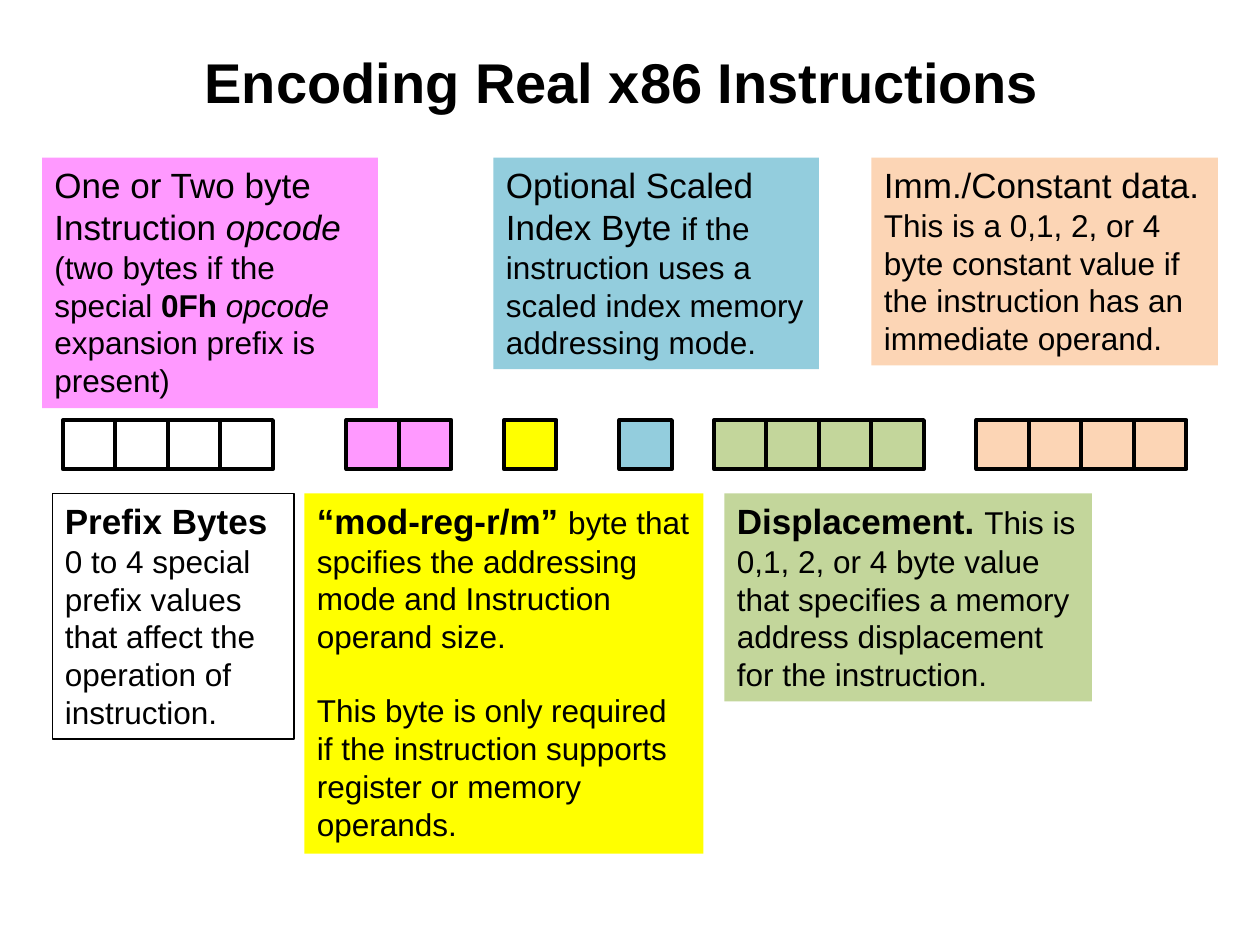
from pptx import Presentation
from pptx.dml.color import RGBColor
from pptx.enum.shapes import MSO_SHAPE
from pptx.enum.text import MSO_ANCHOR, MSO_AUTO_SIZE, PP_ALIGN
from pptx.util import Inches, Pt

COLORS = {"black": "000000", "pink": "FF99FF", "yellow": "FFFF00",
          "blue": "93CDDD", "green": "C3D69B", "peach": "FCD5B5"}
FONT = "Arial"
HEAD, BODY = 20, 18

TITLE = "Encoding Real x86 Instructions "

# Byte fields of an instruction: start column, number of bytes, fill
FIELDS = [(6, 4, None), (33, 2, "pink"), (48, 1, "yellow"),
          (59, 1, "blue"), (68, 4, "green"), (93, 4, "peach")]

# Notes: column, row, columns wide, height in inches, fill,
# paragraphs made of (text, size, style) runs
NOTES = [
    (5, 47, 23, 1.95, None, [
        [("Prefix Bytes", HEAD, "bold")],
        [("0 to 4 special prefix values that affect the operation of "
          "instruction.", BODY, "")]]),
    (4, 15, 32, 1.99, "pink", [
        [("One or Two byte Instruction ", HEAD, ""),
         ("opcode ", HEAD, "italic"),
         ("(two bytes if the special ", BODY, ""),
         ("0Fh ", BODY, "bold"),
         ("opcode", BODY, "italic"),
         (" expansion prefix is present)", BODY, "")]]),
    (29, 47, 38, 2.86, "yellow", [
        [("“mod-reg-r/m” ", HEAD, "bold"),
         ("byte that spcifies the addressing mode and Instruction operand "
          "size.", BODY, "")],
        [("This byte is only required if the instruction supports register "
          "or memory operands.", BODY, "")]]),
    (47, 15, 31, 1.68, "blue", [
        [("Optional Scaled Index Byte ", HEAD, ""),
         ("if the instruction uses a scaled index memory addressing mode.",
          BODY, "")]]),
    (69, 47, 35, 1.65, "green", [
        [("Displacement. ", HEAD, "bold"),
         ("This is 0,1, 2, or 4 byte value that specifies a memory address "
          "displacement for the instruction.", BODY, "")]]),
    (83, 15, 33, 1.65, "peach", [
        [("Imm./Constant data.", HEAD, "")],
        [("This is a 0,1, 2, or 4 byte constant value if the instruction has "
          "an immediate operand.", BODY, "")]]),
]
SECTION_GAP = {"yellow": 20.7}  # one body line between the paragraphs

# Grid of twelve columns and rows to the inch
BYTE_ROW, BYTE_COLUMNS, BYTE_HEIGHT = 40, 5, 0.39


def grid(count):
    return Inches(count / 12)


def color(name):
    return RGBColor.from_string(COLORS[name])


def add_rectangle(shapes, left, top, width, height, fill, line_width):
    shape = shapes.add_shape(MSO_SHAPE.RECTANGLE, left, top, width, height)
    shape.shadow.inherit = False
    if fill:
        shape.fill.solid()
        shape.fill.fore_color.rgb = color(fill)
    else:
        shape.fill.background()
    if line_width:
        shape.line.color.rgb = color("black")
        shape.line.width = Pt(line_width)
    else:
        shape.line.fill.background()
    return shape


def format_run(run, size, style):
    run.font.name = FONT
    run.font.size = Pt(size)
    run.font.bold = style == "bold"
    run.font.italic = style == "italic"
    run.font.color.rgb = color("black")


def add_title(slide):
    box = slide.shapes.add_textbox(Inches(0.5), Inches(0.17), Inches(9), Inches(0.95))
    frame = box.text_frame
    frame.word_wrap = True
    frame.vertical_anchor = MSO_ANCHOR.MIDDLE
    frame.text = TITLE
    paragraph = frame.paragraphs[0]
    paragraph.alignment = PP_ALIGN.CENTER
    format_run(paragraph.runs[0], 32, "bold")


def add_field(slide, column, count, fill):
    shapes = slide.shapes.add_group_shape().shapes if count > 1 else slide.shapes
    for index in range(count):
        add_rectangle(shapes, grid(column + index * BYTE_COLUMNS), grid(BYTE_ROW),
                      grid(BYTE_COLUMNS), Inches(BYTE_HEIGHT), fill, 2.25)


def add_note(slide, column, row, columns, height, fill, paragraphs):
    shape = add_rectangle(slide.shapes, grid(column), grid(row), grid(columns),
                          Inches(height), fill, None if fill else 0.75)
    frame = shape.text_frame
    frame.word_wrap = True
    frame.auto_size = MSO_AUTO_SIZE.SHAPE_TO_FIT_TEXT
    frame.vertical_anchor = MSO_ANCHOR.TOP
    for index, runs in enumerate(paragraphs):
        paragraph = frame.add_paragraph() if index else frame.paragraphs[0]
        paragraph.alignment = PP_ALIGN.LEFT
        if index and fill in SECTION_GAP:
            paragraph.space_before = Pt(SECTION_GAP[fill])
        for text, size, style in runs:
            run = paragraph.add_run()
            run.text = text
            format_run(run, size, style)


def main():
    presentation = Presentation()
    presentation.slide_width = Inches(10)
    presentation.slide_height = Inches(7.5)
    slide = presentation.slides.add_slide(presentation.slide_layouts[6])
    add_title(slide)
    for field in FIELDS:
        add_field(slide, *field)
    for note in NOTES:
        add_note(slide, *note)
    presentation.save("out.pptx")


if __name__ == "__main__":
    main()
